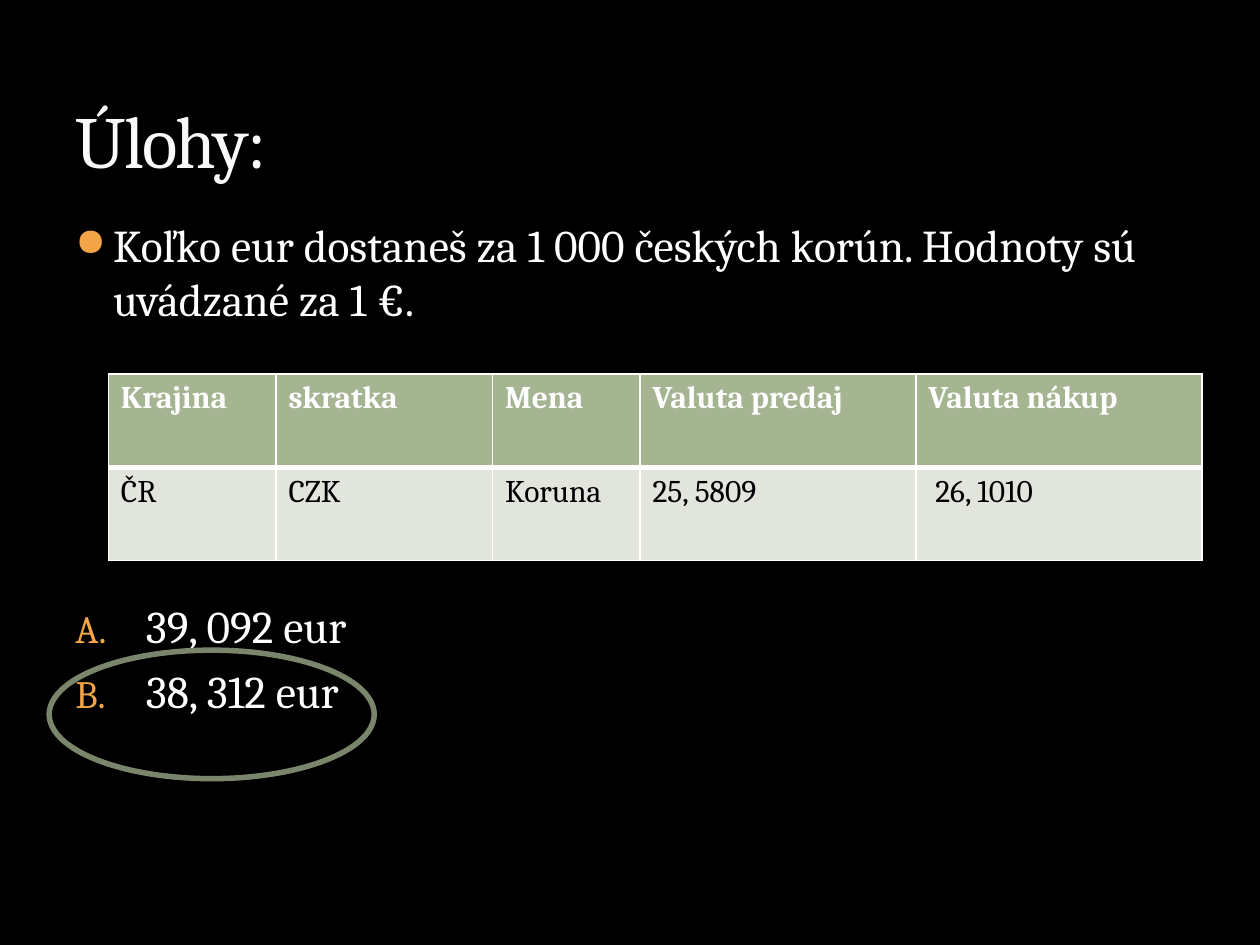
from dataclasses import dataclass

from lxml import etree
from pptx import Presentation, util as u
from pptx.dml.color import RGBColor
from pptx.enum import shapes, text
from pptx.oxml import ns

TITLE = "Úlohy:"
QUESTION = ["Koľko eur dostaneš za 1 000 českých korún. Hodnoty sú uvádzané za 1 €."]
ANSWERS = ["39, 092 eur", "38, 312 eur"]
RATES = [
    ["Krajina", "skratka", "Mena", "Valuta predaj", "Valuta nákup"],
    ["ČR", "CZK", "Koruna", "25, 5809", " 26, 1010"],
]
COLUMN_WIDTHS = [1.33, 1.72, 1.17, 2.19, 2.27]
ROW_HEIGHT = 0.74
WIDTH, HEIGHT, MARGIN = 10, 7.5, 0.5


@dataclass(frozen=True)
class Theme:
    font: str = "Cambria"
    background: str = "000000"
    title: str = "F9F9F9"
    light: str = "FFFFFF"
    dark: str = "000000"
    bullet: str = "F3A447"
    header: str = "A5B592"
    row: str = "E1E5DC"
    ring: str = "7A866C"
    title_size: int = 42
    body_size: int = 26
    table_size: int = 18
    thin: float = 1
    thick: float = 3


THEME = Theme()


def add_element(parent, tag, **attributes):
    values = {name: str(value) for name, value in attributes.items()}
    return etree.SubElement(parent, ns.qn(tag), values)


def add_bullet(paragraph, tag, indent, **attributes):
    properties = paragraph._p.get_or_add_pPr()
    properties.set("marL", str(u.Inches(indent)))
    properties.set("indent", str(-u.Inches(indent)))
    add_element(add_element(properties, "a:buClr"), "a:srgbClr", val=THEME.bullet)
    add_element(properties, "a:buSzPct", val=85000)
    add_element(properties, tag, **attributes)


def write(frame, lines, *, size, color, bold=False, bullet=None, spacing=None):
    """Fill a text frame with one paragraph per line; bullet holds add_bullet's arguments."""
    frame.word_wrap = True
    for index, line in enumerate(lines):
        paragraph = frame.add_paragraph() if index else frame.paragraphs[0]
        if index:
            paragraph.space_before = u.Pt(6)
        if bullet:
            add_bullet(paragraph, **bullet)
        run = paragraph.add_run()
        run.text = line
        run.font.name = THEME.font
        run.font.size = u.Pt(size)
        run.font.bold = bold
        run.font.color.rgb = RGBColor.from_string(color)
        if spacing is not None:
            run._r.get_or_add_rPr().set("spc", str(spacing))


def add_text(slide, lines, top, height, anchor=text.MSO_ANCHOR.TOP, **style):
    box = slide.shapes.add_textbox(
        *map(u.Inches, (MARGIN, top, WIDTH - 2 * MARGIN, height)))
    box.text_frame.vertical_anchor = anchor
    write(box.text_frame, lines, **style)


def set_borders(cell, **widths):
    properties = cell._tc.get_or_add_tcPr()
    for position, side in enumerate("LRTB"):
        line = etree.Element(ns.qn(f"a:ln{side}"), w=str(u.Pt(widths.get(side, THEME.thin))))
        add_element(add_element(line, "a:solidFill"), "a:srgbClr", val=THEME.light)
        properties.insert(position, line)


def add_rates(slide, left, top):
    frame = slide.shapes.add_table(
        len(RATES), len(COLUMN_WIDTHS),
        *map(u.Inches, (left, top, sum(COLUMN_WIDTHS), ROW_HEIGHT * len(RATES))))
    table = frame.table
    for column, width in zip(table.columns, COLUMN_WIDTHS):
        column.width = u.Inches(width)
    for row_index, values in enumerate(RATES):
        table.rows[row_index].height = u.Inches(ROW_HEIGHT)
        is_header = row_index == 0
        for column_index, value in enumerate(values):
            cell = table.cell(row_index, column_index)
            cell.fill.solid()
            cell.fill.fore_color.rgb = RGBColor.from_string(
                THEME.header if is_header else THEME.row)
            set_borders(cell, **{"B" if is_header else "T": THEME.thick})
            write(cell.text_frame, [value], size=THEME.table_size, bold=is_header,
                  color=THEME.light if is_header else THEME.dark)


def add_answer_ring(slide):
    ring = slide.shapes.add_shape(
        shapes.MSO_SHAPE.OVAL, *map(u.Inches, (0.39, 5.16, 2.58, 1.02)))
    ring.shadow.inherit = False
    ring.fill.background()
    ring.line.color.rgb = RGBColor.from_string(THEME.ring)
    ring.line.width = u.Pt(3.15)


def main():
    presentation = Presentation()
    presentation.slide_width = u.Inches(WIDTH)
    presentation.slide_height = u.Inches(HEIGHT)
    slide = presentation.slides.add_slide(presentation.slide_layouts[6])
    slide.background.fill.solid()
    slide.background.fill.fore_color.rgb = RGBColor.from_string(THEME.background)

    body = dict(size=THEME.body_size, color=THEME.light)
    add_text(slide, QUESTION, 1.67, 1.1, **body,
             bullet=dict(tag="a:buChar", indent=0.3, char="●"))
    add_text(slide, ANSWERS, 4.7, 1.97, **body,
             bullet=dict(tag="a:buAutoNum", indent=0.56, type="alphaUcPeriod"))
    add_text(slide, [TITLE], 0.17, 1.33, anchor=text.MSO_ANCHOR.BOTTOM,
             size=THEME.title_size, color=THEME.title, spacing=-100)
    add_rates(slide, 0.86, 2.97)
    add_answer_ring(slide)
    presentation.save("out.pptx")


if __name__ == "__main__":
    main()
